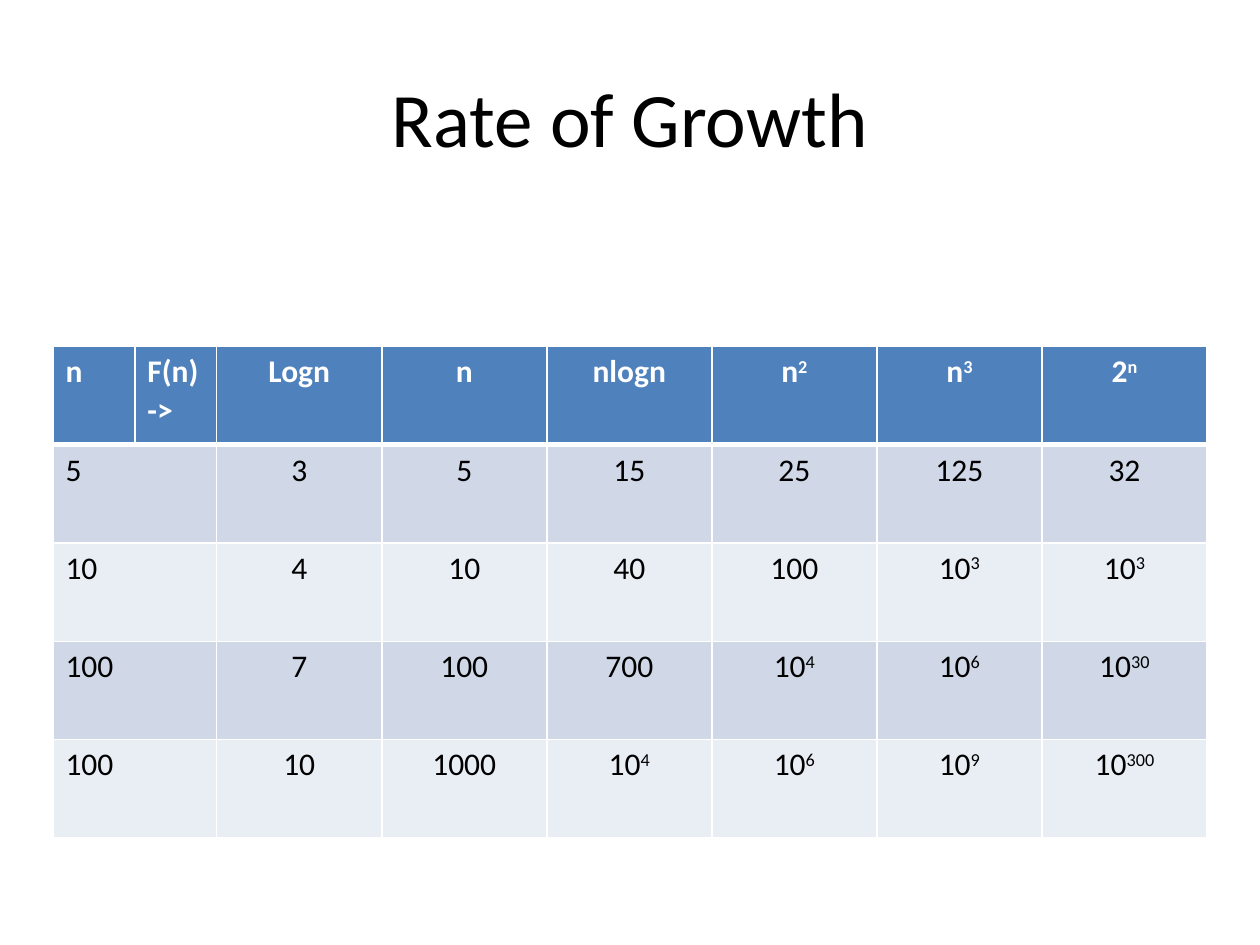
from dataclasses import dataclass

from lxml.etree import SubElement
from pptx import Presentation
from pptx.dml.color import RGBColor as RGB
from pptx.enum.text import MSO_ANCHOR as ANCHOR, PP_ALIGN as ALIGN
from pptx.oxml.ns import qn
from pptx.util import Inches, Pt


@dataclass(frozen=True)
class Theme:
    font: str = "Calibri"
    title_size: int = 44
    body_size: int = 18
    ink: str = "000000"
    paper: str = "FFFFFF"
    header: str = "4F81BD"
    bands: tuple = ("D0D8E8", "E9EDF4")
    line: float = 1
    header_line: float = 3


class Deck:
    def __init__(self, theme, width, height):
        self.theme = theme
        self.prs = Presentation()
        self.prs.slide_width, self.prs.slide_height = Inches(width), Inches(height)
        self.s = None

    def add_slide(self):
        self.s = self.prs.slides.add_slide(self.prs.slide_layouts[5])

    def style(self, p, size, color, align, bold=False):
        p.alignment = align
        p.font.name, p.font.size, p.font.bold = self.theme.font, Pt(size), bold
        p.font.color.rgb = RGB.from_string(color)

    def title(self, text, left, top, width, height):
        sp = self.s.shapes.title
        sp.left, sp.top, sp.width, sp.height = map(Inches, (left, top, width, height))
        tf = sp.text_frame
        tf.text, tf.vertical_anchor = text, ANCHOR.MIDDLE
        self.style(tf.paragraphs[0], self.theme.title_size, self.theme.ink, ALIGN.CENTER)

    def borders(self, cell, top, bottom):
        tc_pr = cell._tc.get_or_add_tcPr()
        line = self.theme.line
        for side, width in (("L", line), ("R", line), ("T", top), ("B", bottom)):
            ln = SubElement(tc_pr, qn(f"a:ln{side}"), w=str(Pt(width)))
            fill = SubElement(ln, qn("a:solidFill"))
            SubElement(fill, qn("a:srgbClr"), val=self.theme.paper)

    def cell(self, cell, text, row, align):
        """Fill one cell; "^" starts a superscript, a line break a new paragraph."""
        t = self.theme
        is_header = row == 0
        self.borders(cell, t.header_line if row == 1 else t.line,
                     t.header_line if is_header else t.line)
        cell.fill.solid()
        fill = t.header if is_header else t.bands[(row - 1) % len(t.bands)]
        cell.fill.fore_color.rgb = RGB.from_string(fill)
        tf = cell.text_frame
        for i, line in enumerate(text.split("\n")):
            p = tf.add_paragraph() if i else tf.paragraphs[0]
            self.style(p, t.body_size, t.paper if is_header else t.ink, align, is_header)
            base, _, power = line.partition("^")
            if base:
                p.add_run().text = base
            if power:
                r = p.add_run()
                r.text = power
                r.font._element.set("baseline", "30000")

    def table(self, rows, left, top, col_widths, row_height, label_cols):
        frame = self.s.shapes.add_table(
            len(rows), len(col_widths), Inches(left), Inches(top),
            Inches(sum(col_widths)), Inches(row_height * len(rows)))
        tbl = frame.table
        for col, width in zip(tbl.columns, col_widths):
            col.width = Inches(width)
        for i, values in enumerate(rows):
            tbl.rows[i].height = Inches(row_height)
            for j, text in enumerate(values):
                align = ALIGN.LEFT if j < label_cols else ALIGN.CENTER
                self.cell(tbl.cell(i, j), text, i, align)
            if i:
                tbl.cell(i, 0).merge(tbl.cell(i, label_cols - 1))


# Growth of each function for rising n
header = ["n", "F(n)\n->", "Logn", "n", "nlogn", "n^2", "n^3", "2^n"]
growth = [
    ("5", "3", "5", "15", "25", "125", "32"),
    ("10", "4", "10", "40", "100", "10^3", "10^3"),
    ("100", "7", "100", "700", "10^4", "10^6", "10^30"),
    ("100", "10", "1000", "10^4", "10^6", "10^9", "10^300"),
]
# The n value of each body row spans both label columns
body = [[n, "", *values] for n, *values in growth]

# Slide
deck = Deck(Theme(), 10, 7.5)
deck.add_slide()
deck.title("Rate of Growth", 0.5, 0.3, 9, 1.25)
deck.table([header, *body], 0.42, 2.75, [0.65] * 2 + [1.31] * 6, 0.78, label_cols=2)
deck.prs.save("out.pptx")
